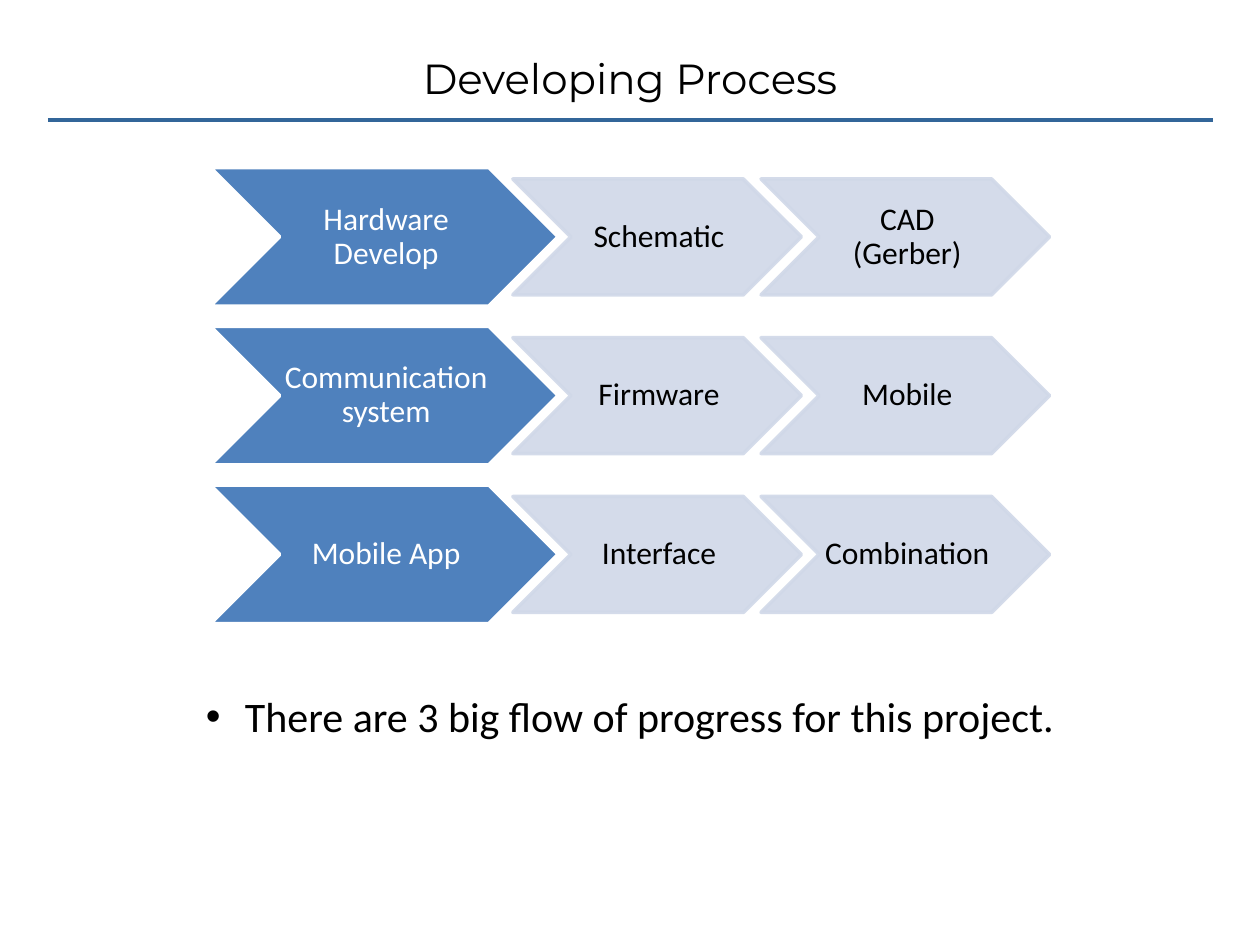
from lxml.etree import SubElement as Sub
from pptx import Presentation
from pptx.dml.color import RGBColor as Rgb
from pptx.enum.shapes import MSO_CONNECTOR as Link, MSO_SHAPE as Form
from pptx.enum.text import MSO_ANCHOR as Anchor, PP_ALIGN as Align
from pptx.oxml.ns import qn
from pptx.util import Inches, Pt

HUE = {"rule": "336699", "lead": "4F81BD", "step": "D0D8E8",
       "white": "FFFFFF", "black": "000000"}
FLOWS = [
    ("Hardware Develop", "Schematic", "CAD (Gerber)"),
    ("Communication system", "Firmware", "Mobile"),
    ("Mobile App", "Interface", "Combination"),
]
# column, width, height, fill, line, text, opacity in percent
COLS = [
    (167, 276, 110, "lead", "white", "white", 100),
    (407, 229, 92, "step", "step", "black", 90),
    (604, 229, 92, "step", "step", "black", 90),
]

deck = Presentation()
deck.slide_width, deck.slide_height = Inches(10), Inches(7.5)
slide = deck.slides.add_slide(deck.slide_layouts[6])
unit = deck.slide_width // 1000  # grid of 1000 columns by 750 rows


def grid(*cells):
    return [round(cell * unit) for cell in cells]


def write(shape, text, size, face, hue, pad=(0, 0, 0, 0), gap=1.0):
    """Put one centred paragraph in the shape and return it."""
    frame = shape.text_frame
    frame.word_wrap = True
    sides = ("margin_left", "margin_top", "margin_right", "margin_bottom")
    for side, cells in zip(sides, grid(*pad)):
        setattr(frame, side, cells)
    para = frame.paragraphs[0]
    para.alignment, para.line_spacing = Align.CENTER, gap
    run = para.add_run()
    run.text = text
    for key, val in {"size": Pt(size), "name": face}.items():
        setattr(run.font, key, val)
    run.font.color.rgb = Rgb.from_string(HUE[hue])
    return para


# Heading and its rule
rule = slide.shapes.add_connector(Link.STRAIGHT, *grid(38, 95, 963, 95))
rule.line.color.rgb = Rgb.from_string(HUE["rule"])
rule.line.width = Pt(2.28)
Sub(rule._element.spPr, qn("a:effectLst"))
title = slide.shapes.add_textbox(*grid(275, 42, 450, 40))
write(title, "Developing Process", 24, "Montserrat", "black")

# One row of chevrons per flow, centred on the row's middle
for row, flow in enumerate(FLOWS):
    mid = 188 + 126 * row
    for label, (left, wide, high, fill, edge, ink, solid) in zip(flow, COLS):
        box = grid(left, mid - high / 2, wide, high)
        arrow = slide.shapes.add_shape(Form.CHEVRON, *box)
        arrow.shadow.inherit = False
        arrow.fill.solid()
        arrow.fill.fore_color.rgb = Rgb.from_string(HUE[fill])
        arrow.line.color.rgb = Rgb.from_string(HUE[edge])
        arrow.line.width = Pt(2)
        if solid < 100:
            for tint in arrow._element.spPr.iter(qn("a:srgbClr")):
                Sub(tint, qn("a:alpha"), val=str(solid * 1000))
        arrow.text_frame.vertical_anchor = Anchor.MIDDLE
        write(arrow, label, 18, "Calibri", ink, (3, 1, 0, 1), 0.9)

# Closing bullet
note = slide.shapes.add_textbox(*grid(71, 548, 858, 40))
para = write(note, "There are 3 big flow of progress for this project.",
             24, "Calibri", "black")
props = para._p.get_or_add_pPr()
hang = grid(31)[0]
props.set("marL", str(hang))
props.set("indent", str(-hang))
Sub(props, qn("a:buFont"), typeface="Arial")
Sub(props, qn("a:buChar"), char="•")

deck.save("out.pptx")
